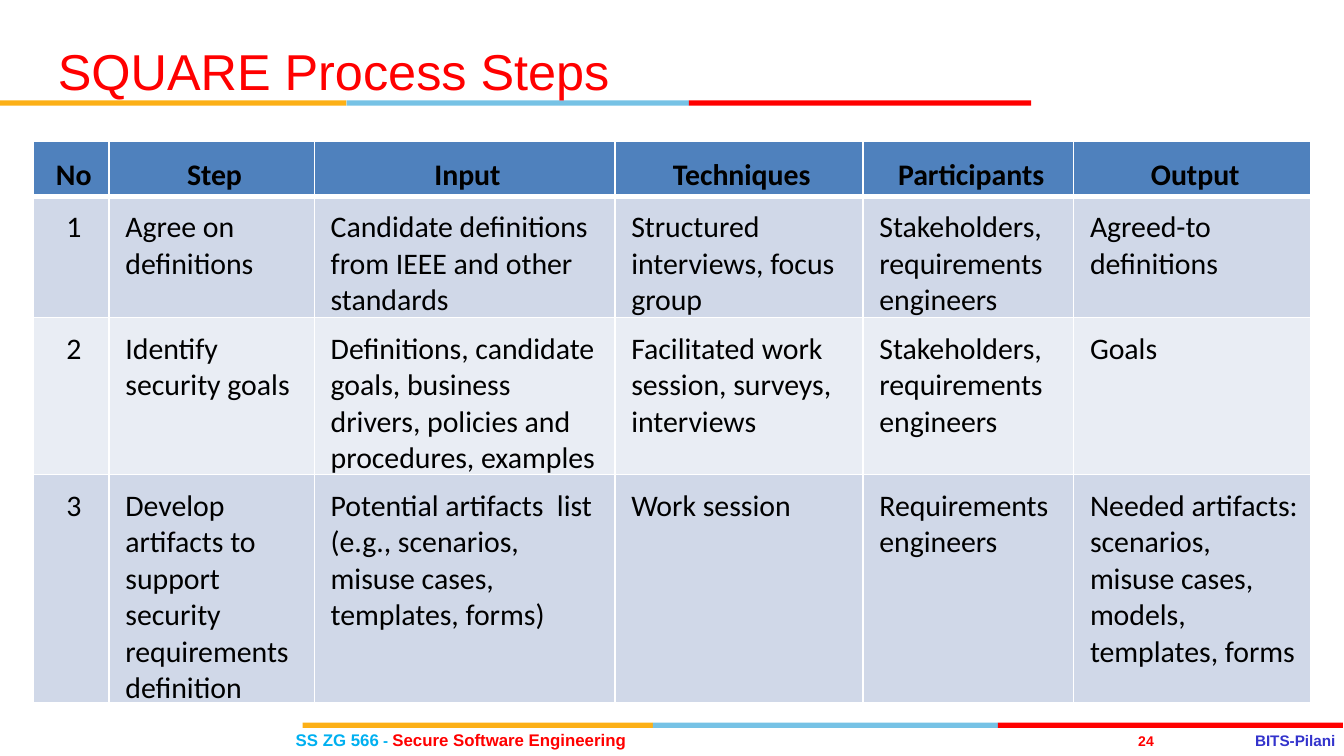
"""Build the SQUARE process steps slide with its table and footer."""
from lxml.etree import SubElement
from pptx import Presentation
from pptx.dml.color import RGBColor
from pptx.enum.shapes import MSO_SHAPE
from pptx.enum.text import MSO_ANCHOR, MSO_AUTO_SIZE, PP_ALIGN
from pptx.oxml.ns import qn
from pptx.util import Cm, Pt

RED = RGBColor(0xFF, 0x00, 0x00)
AMBER = RGBColor(0xFC, 0xB0, 0x17)
SKY = RGBColor(0x76, 0xC2, 0xE5)
CYAN = RGBColor(0x00, 0xB0, 0xF0)
NAVY = RGBColor(0x33, 0x33, 0xCC)
BLACK = RGBColor(0x00, 0x00, 0x00)
WHITE = RGBColor(0xFF, 0xFF, 0xFF)
HEADER_FILL = RGBColor(0x4F, 0x81, 0xBD)
ROW_FILLS = [RGBColor(0xE9, 0xED, 0xF4), RGBColor(0xD0, 0xD8, 0xE8)]

TITLE = "SQUARE Process Steps"
STEPS = [
    ["No", "Step", "Input", "Techniques", "Participants", "Output"],
    ["1", "Agree on definitions",
     "Candidate definitions from IEEE and other standards",
     "Structured interviews, focus\ngroup",
     "Stakeholders, requirements engineers", "Agreed-to definitions"],
    ["2", "Identify security goals",
     "Definitions, candidate goals, business drivers, policies and procedures, examples",
     "Facilitated work session, surveys, interviews",
     "Stakeholders, requirements engineers", "Goals"],
    ["3", "Develop artifacts to support security requirements definition",
     "Potential artifacts  list (e.g., scenarios, misuse cases, templates, forms)",
     "Work session", "Requirements engineers",
     "Needed artifacts: scenarios, misuse cases, models, templates, forms"],
]
COLUMN_WIDTHS = [1.44, 3.88, 5.68, 4.69, 3.98, 4.49]
ROW_HEIGHTS = [1.04, 2.29, 2.97, 4.31]
STRIPES = [
    (0, 1.9, [6.55, 6.47, 6.47]),
    (5.72, 13.66, [6.62, 6.52, 6.52]),
]
FOOTERS = [
    (5.59, 13.79, 7.01, 0.38, PP_ALIGN.LEFT,
     [("SS ZG 566", 9, CYAN), (" - ", 8.2, CYAN),
      ("Secure Software Engineering", 9, RED)]),
    (21.34, 13.84, 0.64, 0.33, PP_ALIGN.CENTER, [("24", 7.5, RED)]),
    (23.72, 13.82, 1.63, 0.36, PP_ALIGN.LEFT, [("BITS-Pilani", 8.2, NAVY)]),
]


def add_stripe(slide, left, top, widths):
    stripe = slide.shapes.add_group_shape()
    for width, color in zip(widths, [AMBER, SKY, RED]):
        band = stripe.shapes.add_shape(
            MSO_SHAPE.RECTANGLE, Cm(left), Cm(top), Cm(width), Cm(0.1))
        band.shadow.inherit = False
        band.fill.solid()
        band.fill.fore_color.rgb = color
        band.line.fill.background()
        left += width


def add_footer(slide, left, top, width, height, alignment, parts):
    footer = slide.shapes.add_textbox(Cm(left), Cm(top), Cm(width), Cm(height))
    frame = footer.text_frame
    frame.margin_left = frame.margin_right = 0
    frame.margin_top = frame.margin_bottom = 0
    frame.vertical_anchor = MSO_ANCHOR.MIDDLE
    frame.word_wrap = len(parts) > 1
    line = frame.paragraphs[0]
    line.alignment = alignment
    for text, size, color in parts:
        run = line.add_run()
        run.text = text
        run.font.size = Pt(size)
        run.font.color.rgb = color
    line.font.name = "Arial"
    line.font.bold = True
    for run in line.runs:
        run.font.name = "Arial"
        run.font.bold = True


def set_borders(cell, top, bottom):
    properties = cell._tc.get_or_add_tcPr()
    sides = [("a:lnL", 1), ("a:lnR", 1), ("a:lnT", top), ("a:lnB", bottom)]
    for position, (side, points) in enumerate(sides):
        border = SubElement(properties, qn(side), w=str(Pt(points)))
        fill = SubElement(border, qn("a:solidFill"))
        SubElement(fill, qn("a:srgbClr"), val=str(WHITE))
        properties.insert(position, border)


def fill_cell(cell, text, row, column):
    is_header = row == 0
    cell.fill.solid()
    cell.fill.fore_color.rgb = HEADER_FILL if is_header else ROW_FILLS[row % 2]
    set_borders(cell, 3 if row == 1 else 1, 3 if is_header else 1)
    cell.margin_left, cell.margin_right = Cm(0.31), Cm(0.2)
    cell.margin_top, cell.margin_bottom = Cm(0.25), 0
    cell.vertical_anchor = MSO_ANCHOR.MIDDLE if is_header else MSO_ANCHOR.TOP
    cell.text = text
    for paragraph in cell.text_frame.paragraphs:
        centered = is_header or column == 0
        paragraph.alignment = PP_ALIGN.CENTER if centered else PP_ALIGN.LEFT
        paragraph.font.name = "Calibri"
        paragraph.font.size = Pt(16)
        paragraph.font.bold = is_header
        paragraph.font.color.rgb = BLACK


def add_steps_table(slide):
    steps = slide.shapes.add_table(
        len(STEPS), len(COLUMN_WIDTHS), Cm(0.62), Cm(2.67),
        Cm(sum(COLUMN_WIDTHS)), Cm(sum(ROW_HEIGHTS))).table
    for column, width in zip(steps.columns, COLUMN_WIDTHS):
        column.width = Cm(width)
    for row, height in zip(steps.rows, ROW_HEIGHTS):
        row.height = Cm(height)
    for row, texts in enumerate(STEPS):
        for column, text in enumerate(texts):
            fill_cell(steps.cell(row, column), text, row, column)


def place_title(slide):
    title = slide.shapes.title
    title.left, title.top = Cm(0.84), Cm(0.69)
    title.width, title.height = Cm(17.58), Cm(1.47)
    title.text = TITLE
    title.text_frame.auto_size = MSO_AUTO_SIZE.NONE
    title.text_frame.vertical_anchor = MSO_ANCHOR.MIDDLE
    heading = title.text_frame.paragraphs[0]
    heading.alignment = PP_ALIGN.LEFT
    heading.line_spacing = Pt(27)
    heading.font.name = "Arial"
    heading.font.size = Pt(27)
    heading.font.color.rgb = RED
    slide.shapes._spTree.append(title._element)


def main():
    deck = Presentation()
    deck.slide_width, deck.slide_height = Cm(25.4), Cm(14.29)
    slide = deck.slides.add_slide(deck.slide_layouts[5])
    for stripe in STRIPES:
        add_stripe(slide, *stripe)
    for footer in FOOTERS:
        add_footer(slide, *footer)
    add_steps_table(slide)
    place_title(slide)
    deck.save("out.pptx")


if __name__ == "__main__":
    main()
